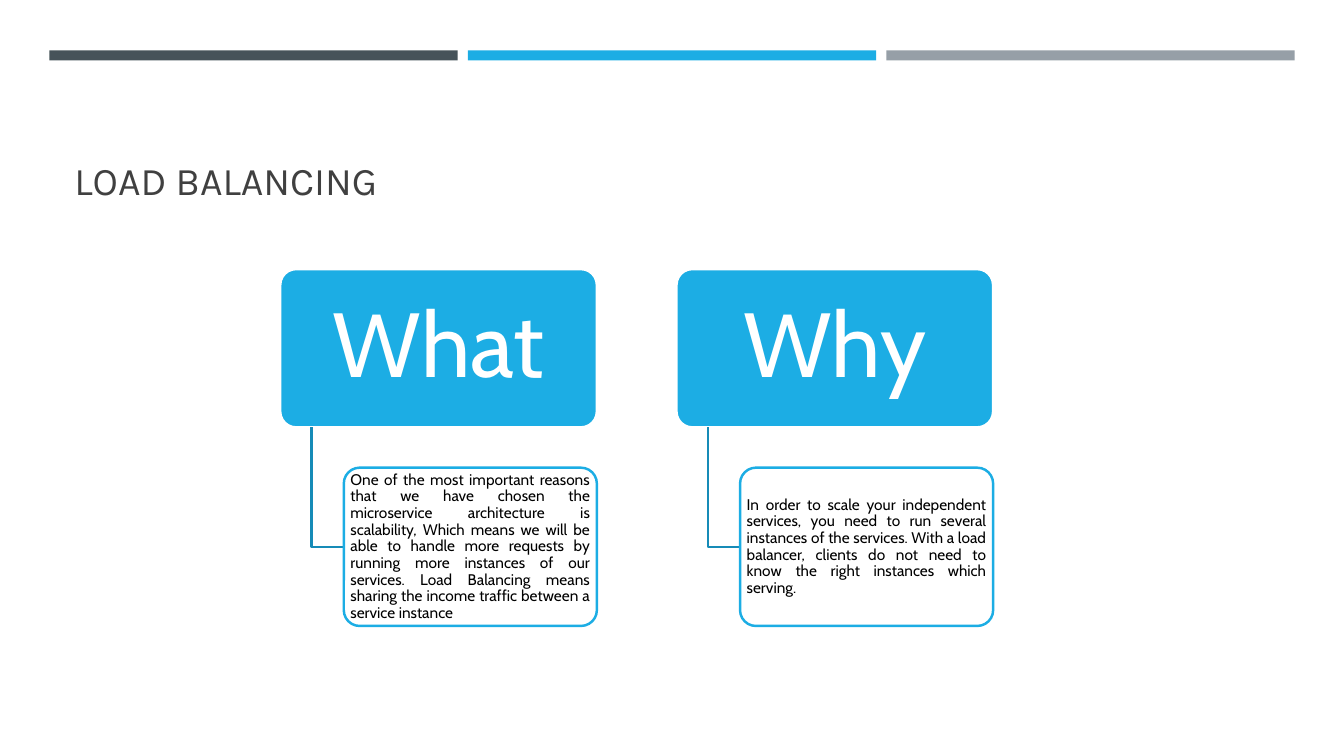
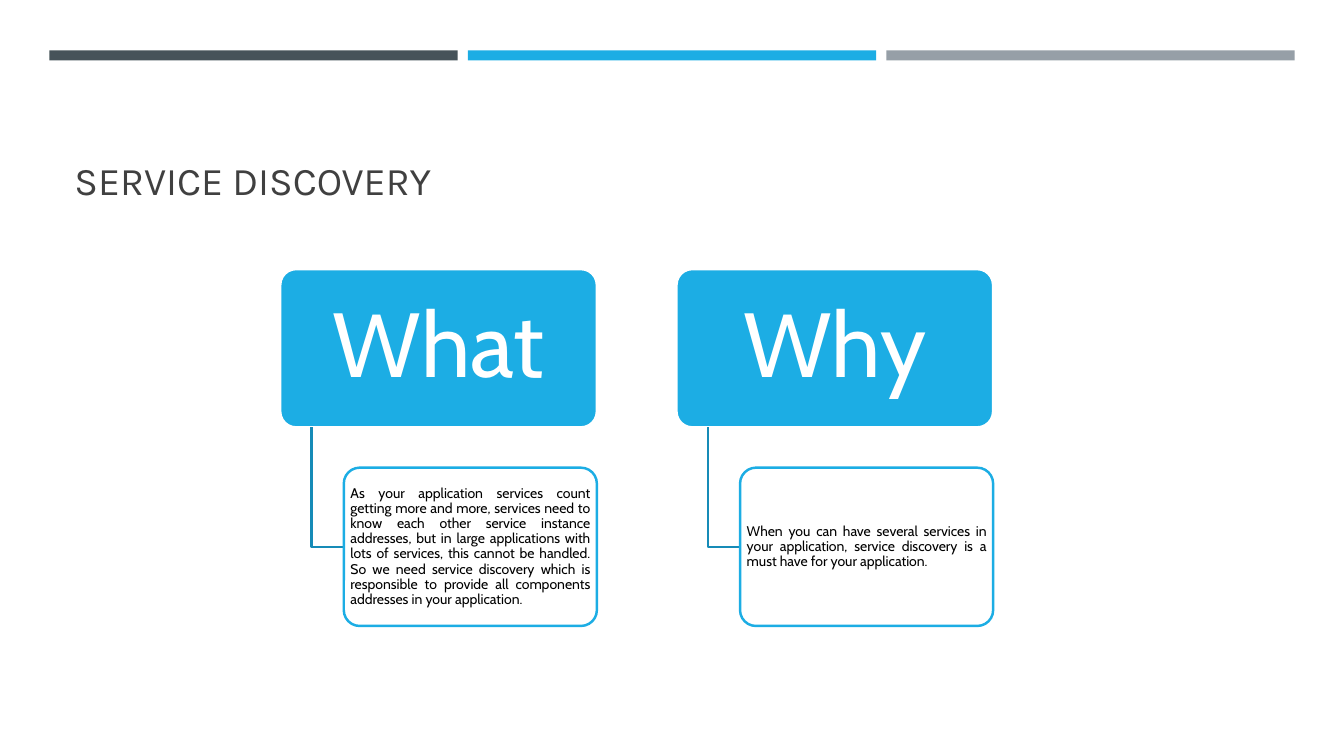
import pptx
import pptx.util
import pptx.dml.color
import pptx.enum.shapes
import pptx.enum.text

Inches = pptx.util.Inches
Pt = pptx.util.Pt
SHAPE = pptx.enum.shapes.MSO_SHAPE
ALIGN = pptx.enum.text.PP_ALIGN
ANCHOR = pptx.enum.text.MSO_ANCHOR

COLORS = {
    "slate": "465359",
    "blue": "1CADE4",
    "grey": "969FA7",
    "link": "168BB7",
    "title": "404040",
    "black": "000000",
    "white": "FFFFFF",
}
TITLE_FONT = "Karla"
BODY_FONT = "Cabin"

BAND_LEFT, BAND_WIDTH, BAND_STEP = 0.49, 4.05, 4.15
COLUMN_LEFT, COLUMN_STEP = 2.78, 3.93
HEAD_TOP, HEAD_WIDTH, CARD_HEIGHT = 2.67, 3.14, 1.57
DETAIL_TOP, DETAIL_INDENT, DETAIL_WIDTH = 4.64, 0.63, 2.51
LINK_INDENT = 0.31
LINE_WIDTH = 1.75

SLIDES = [
    ("LOAD BALANCING", 11, 0.02, [
        ("What", "One of the most important reasons that we have chosen the "
                 "microservice architecture is scalability, Which means we will be "
                 "able to handle more requests by running more instances of our "
                 "services. Load Balancing means sharing the income traffic between "
                 "a service instance"),
        ("Why", "In order to scale your independent services, you need to run "
                "several instances of the services. With a load balancer, clients "
                "do not need to know the right instances which serving."),
    ]),
    ("SERVICE DISCOVERY", 10, 0.01, [
        ("What", "As your application services count getting more and more, "
                 "services need to know each other service instance addresses, but "
                 "in large applications with lots of services, this cannot be "
                 "handled. So we need service discovery which is responsible to "
                 "provide all components addresses in your application."),
        ("Why", "When you can have several services in your application, service "
                "discovery is a must have for your application."),
    ]),
]


def rgb(name):
    return pptx.dml.color.RGBColor.from_string(COLORS[name])


def write(sp, text, font, size, color, align, anchor, insets):
    tf = sp.text_frame
    tf.word_wrap = True
    tf.vertical_anchor = anchor
    tf.margin_left = tf.margin_right = Inches(insets[0])
    tf.margin_top = tf.margin_bottom = Inches(insets[1])
    tf.text = text
    p = tf.paragraphs[0]
    p.alignment = align
    p.line_spacing = 0.9
    r = p.runs[0]
    r.font.name = font
    r.font.size = Pt(size)
    r.font.color.rgb = rgb(color)


def add_box(s, kind, left, top, width, height, fill, line=None):
    sp = s.shapes.add_shape(kind, Inches(left), Inches(top), Inches(width), Inches(height))
    sp.shadow.inherit = False
    sp.fill.solid()
    sp.fill.fore_color.rgb = rgb(fill)
    if line:
        sp.line.color.rgb = rgb(line)
        sp.line.width = Pt(LINE_WIDTH)
    else:
        sp.line.fill.background()
    return sp


def add_card(s, left, top, width, fill, line):
    sp = add_box(s, SHAPE.ROUNDED_RECTANGLE, left, top, width, CARD_HEIGHT, fill, line)
    sp.adjustments[0] = 0.1
    return sp


def add_link(s, left, top, right, bottom):
    corners = [(Inches(left), Inches(bottom)), (Inches(right), Inches(bottom))]
    builder = s.shapes.build_freeform(Inches(left), Inches(top))
    builder.add_line_segments(corners, close=False)
    sp = builder.convert_to_shape()
    sp.shadow.inherit = False
    sp.fill.background()
    sp.line.color.rgb = rgb("link")
    sp.line.width = Pt(LINE_WIDTH)


def add_frame(s, title):
    for i, color in enumerate(("slate", "blue", "grey")):
        add_box(s, SHAPE.RECTANGLE, BAND_LEFT + i * BAND_STEP, 0.5, BAND_WIDTH, 0.1, color)
    sp = s.shapes.add_textbox(Inches(0.64), Inches(0.77), Inches(12.06), Inches(1.3))
    write(sp, title, TITLE_FONT, 28, "title", ALIGN.LEFT, ANCHOR.BOTTOM, (0.1, 0.05))


def add_column(s, left, heading, detail, size, inset):
    detail_left = left + DETAIL_INDENT
    head = add_card(s, left, HEAD_TOP, HEAD_WIDTH, "blue", "white")
    write(head, heading, BODY_FONT, 65, "white", ALIGN.CENTER, ANCHOR.MIDDLE, (0.14, 0.09))
    add_link(s, left + LINK_INDENT, HEAD_TOP + CARD_HEIGHT,
             detail_left, DETAIL_TOP + CARD_HEIGHT / 2)
    body = add_card(s, detail_left, DETAIL_TOP, DETAIL_WIDTH, "white", "blue")
    write(body, detail, BODY_FONT, size, "black", ALIGN.JUSTIFY, ANCHOR.MIDDLE, (0.02, inset))


def main():
    prs = pptx.Presentation()
    prs.slide_width = Inches(13.33)
    prs.slide_height = Inches(7.5)
    for title, size, inset, columns in SLIDES:
        s = prs.slides.add_slide(prs.slide_layouts[6])
        add_frame(s, title)
        for i, (heading, detail) in enumerate(columns):
            add_column(s, COLUMN_LEFT + i * COLUMN_STEP, heading, detail, size, inset)
    prs.save("out.pptx")


if __name__ == "__main__":
    main()
